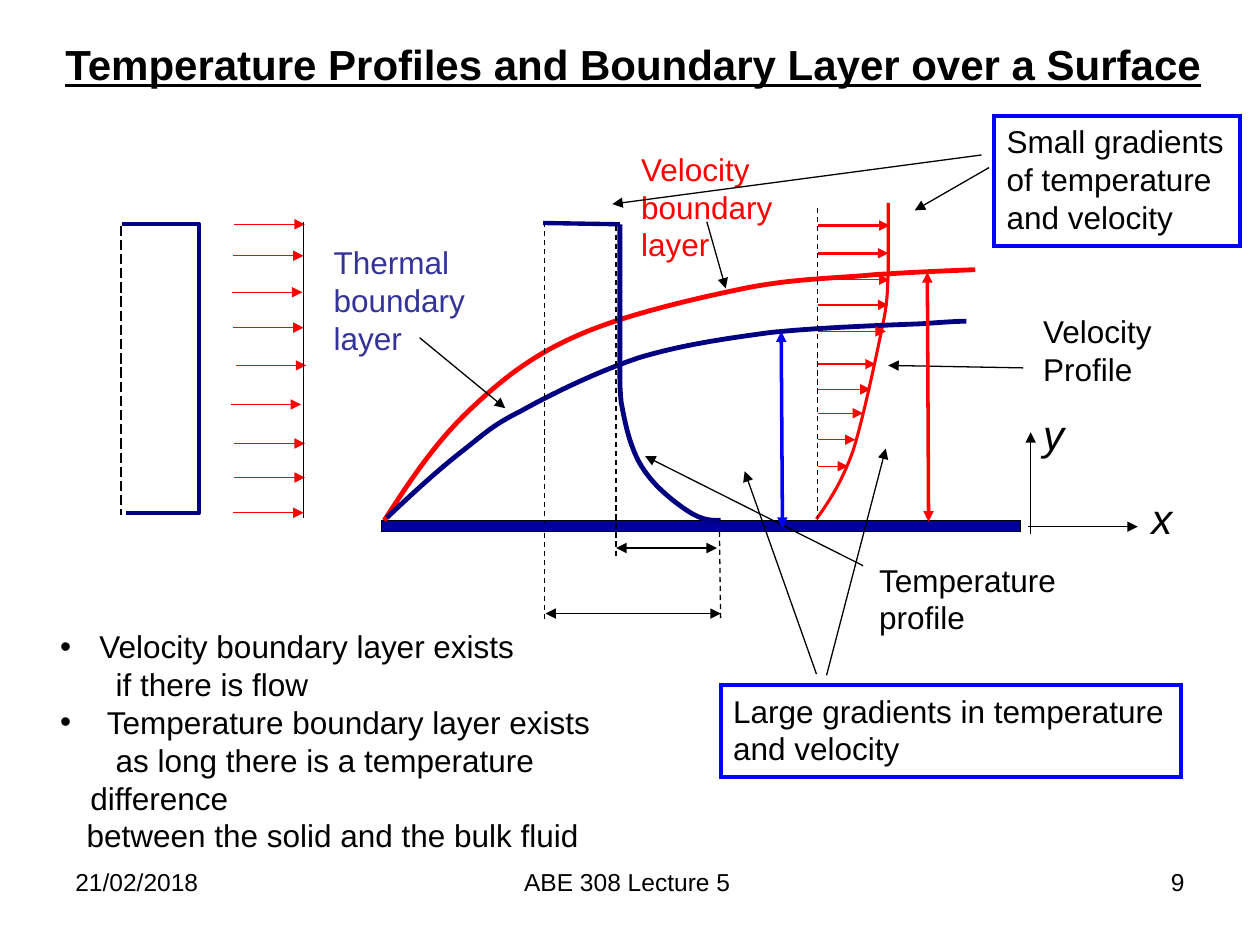
from dataclasses import dataclass
from typing import Optional

from lxml.etree import SubElement
from pptx import Presentation
from pptx.dml.color import RGBColor
from pptx.enum.dml import MSO_LINE_DASH_STYLE as Dash
from pptx.enum.shapes import MSO_CONNECTOR, MSO_SHAPE
from pptx.enum.text import MSO_ANCHOR, PP_ALIGN as Align
from pptx.oxml.ns import qn
from pptx.util import Inches, Pt

Point = tuple[float, float]
Box = tuple[float, float, float, float]
BLACK, RED, BLUE, NAVY = "000000", "FF0000", "0000FF", "000080"
PLATE, INDIGO = "000099", "333399"


@dataclass
class Line:
    start: Point
    end: Point
    color: str = BLACK
    width: float = 0.75
    dash: Optional[Dash] = None
    head: bool = False
    tail: bool = False


@dataclass
class Outline:
    points: list[Point]
    color: str
    width: float = 2.75
    curved: bool = True


@dataclass
class Label:
    text: str
    box: Box
    size: int = 18
    color: str = BLACK
    bold: bool = False
    underline: bool = False
    italic: bool = False
    align: Align = Align.LEFT
    wrap: bool = False
    framed: bool = False


@dataclass
class Note:
    text: str
    margin: float
    indent: float = 0
    bullet: bool = False


def rgb(value: str) -> RGBColor:
    return RGBColor.from_string(value)


def style_line(shape, color: str, width: float) -> None:
    shape.line.color.rgb = rgb(color)
    shape.line.width = Pt(width)


def draw_line(slide, line: Line) -> None:
    ends = [Inches(value) for value in (*line.start, *line.end)]
    connector = slide.shapes.add_connector(MSO_CONNECTOR.STRAIGHT, *ends)
    style_line(connector, line.color, line.width)
    if line.dash:
        connector.line.dash_style = line.dash
    properties = connector._element.spPr
    stroke = properties.find(qn("a:ln"))
    for tag, wanted in (("a:headEnd", line.head), ("a:tailEnd", line.tail)):
        if wanted:
            SubElement(stroke, qn(tag), type="triangle")
    SubElement(properties, qn("a:effectLst"))


def bend_segments(shape) -> None:
    track = next(shape._element.iter(qn("a:path")))
    corners = [segment[0] for segment in track.findall(qn("a:lnTo"))]
    for segment in track.findall(qn("a:lnTo")):
        track.remove(segment)
    for first in range(0, len(corners), 3):
        SubElement(track, qn("a:cubicBezTo")).extend(corners[first : first + 3])


def draw_outline(slide, outline: Outline) -> None:
    start, *rest = [(Inches(x), Inches(y)) for x, y in outline.points]
    builder = slide.shapes.build_freeform(*start)
    builder.add_line_segments(rest, close=False)
    shape = builder.convert_to_shape()
    shape.shadow.inherit = False
    shape.fill.background()
    style_line(shape, outline.color, outline.width)
    if outline.curved:
        bend_segments(shape)


def draw_rectangle(slide, box: Box, color: str, width: float):
    lengths = [Inches(value) for value in box]
    shape = slide.shapes.add_shape(MSO_SHAPE.RECTANGLE, *lengths)
    shape.shadow.inherit = False
    shape.fill.background()
    style_line(shape, color, width)
    SubElement(shape._element.spPr.find(qn("a:ln")), qn("a:miter"), lim="800000")
    return shape


def draw_label(slide, label: Label) -> None:
    if label.framed:
        shape = draw_rectangle(slide, label.box, BLUE, 2.25)
    else:
        shape = slide.shapes.add_textbox(*[Inches(value) for value in label.box])
    text_frame = shape.text_frame
    text_frame.word_wrap = label.wrap
    text_frame.vertical_anchor = MSO_ANCHOR.TOP
    text_frame.text = label.text
    for paragraph in text_frame.paragraphs:
        paragraph.alignment = label.align
        font = paragraph.runs[0].font
        font.name, font.size = "Arial", Pt(label.size)
        font.color.rgb = rgb(label.color)
        font.bold, font.italic = label.bold, label.italic
        font.underline = label.underline


def draw_notes(slide, notes: list[Note], box: Box) -> None:
    text_frame = slide.shapes.add_textbox(*[Inches(v) for v in box]).text_frame
    text_frame.word_wrap = True
    text_frame.text = "\n".join(note.text for note in notes)
    for note, paragraph in zip(notes, text_frame.paragraphs):
        properties = paragraph._p.get_or_add_pPr()
        properties.set("marL", str(Inches(note.margin)))
        properties.set("indent", str(Inches(note.indent)))
        if note.bullet:
            SubElement(properties, qn("a:buFont"), typeface="Arial")
            SubElement(properties, qn("a:buChar"), char="•")
        paragraph.font.size = Pt(18)
        font = paragraph.runs[0].font
        font.name, font.size = "Arial", Pt(18)
        font.color.rgb = rgb(BLACK)


OUTLINES = [
    Outline([(3.05, 4.13), (3.25, 3.82), (3.45, 3.52), (3.71, 3.27), (3.97, 3.02),
             (4.22, 2.82), (4.59, 2.66), (4.95, 2.5), (5.51, 2.37), (5.9, 2.29),
             (6.29, 2.21), (6.63, 2.21), (6.94, 2.18), (7.25, 2.16), (7.49, 2.15),
             (7.74, 2.14)], RED),
    Outline([(6.48, 4.12), (6.58, 3.98), (6.68, 3.83), (6.77, 3.58), (6.85, 3.33),
             (6.95, 2.85), (7, 2.61), (7.05, 2.38), (7.04, 2.32), (7.05, 2.16),
             (7.05, 1.99), (7.05, 1.8), (7.05, 1.61)], RED, 1.75),
    Outline([(3.07, 4.11), (3.28, 3.91), (3.49, 3.72), (3.67, 3.58), (3.85, 3.44),
             (3.9, 3.38), (4.14, 3.26), (4.37, 3.13), (4.74, 2.95), (5.07, 2.84),
             (5.4, 2.74), (5.74, 2.69), (6.11, 2.64), (6.49, 2.6), (7.06, 2.58),
             (7.32, 2.57), (7.58, 2.55), (7.63, 2.55), (7.67, 2.55)], NAVY),
    Outline([(0.97, 1.78), (1.58, 1.78), (1.58, 4.07), (1, 4.07)], NAVY, 2.5, False),
    Outline([(5.72, 4.13), (5.65, 4.13), (5.59, 4.13), (5.5, 4.08), (5.41, 4.03),
             (5.27, 3.92), (5.19, 3.83), (5.11, 3.74), (5.06, 3.66), (5.02, 3.55),
             (4.98, 3.45), (4.95, 3.3), (4.93, 3.19), (4.92, 3.07), (4.92, 3.1),
             (4.92, 2.87), (4.92, 2.63), (4.92, 2.2), (4.92, 1.78)], NAVY),
]
INLET_ARROWS = [(1.86, 1.78), (1.85, 2.03), (1.84, 2.32), (1.85, 2.6), (1.87, 2.9),
                (1.83, 3.21), (1.86, 3.52), (1.86, 3.79), (1.85, 4.07)]
PROFILE_TIPS = [(7.06, 1.79), (7.05, 2.01), (7.06, 2.22), (7.05, 2.42), (7.03, 2.63),
                (6.95, 2.89), (6.91, 3.09), (6.85, 3.28), (6.79, 3.49), (6.73, 3.7)]
GUIDES = [((6.49, 1.65), (6.49, 4.11)), ((4.32, 1.76), (4.32, 4.15)),
          ((5.71, 4.22), (5.72, 4.93)), ((4.32, 4.23), (4.32, 4.91)),
          ((4.89, 1.79), (4.89, 4.44))]
POINTERS = [((8.12, 2.92), (7.05, 2.9)), ((5.61, 1.76), (5.76, 2.29)),
            ((3.33, 2.68), (4.01, 3.24)), ((6.85, 4.49), (5.12, 3.62)),
            ((7.85, 1.33), (7.26, 1.67)), ((7.79, 1.23), (4.86, 1.62)),
            ((6.48, 5.35), (5.91, 3.74)), ((6.56, 5.36), (7.03, 3.56))]
AXES = [((8.16, 4.18), (9.03, 4.18)), ((8.18, 4.24), (8.18, 3.43))]
SPANS = [Line((4.33, 4.87), (5.72, 4.87)), Line((4.89, 4.35), (5.69, 4.35)),
         Line((7.37, 4.14), (7.36, 2.16), RED, 2),
         Line((6.21, 4.19), (6.2, 2.63), BLUE, 2)]
LINES = [
    *[Line(start, end, dash=Dash.DASH) for start, end in GUIDES],
    *[Line((6.49, y), (x, y), RED, 1.75 if y < 2.1 else 0.75, tail=True)
      for x, y in PROFILE_TIPS],
    *[Line((x, y), (x + 0.56, y), RED, tail=True) for x, y in INLET_ARROWS],
    Line((2.41, 1.76), (2.41, 4.11)),
    Line((0.96, 1.79), (0.96, 4.09), dash=Dash.LONG_DASH),
    Line((4.31, 1.77), (4.92, 1.78), NAVY, 2.5),
    *[Line(start, end, tail=True) for start, end in POINTERS + AXES],
    *[Line(s.start, s.end, s.color, s.width, head=True, tail=True) for s in SPANS],
]
LABELS = [
    Label("Temperature Profiles and Boundary Layer over a Surface",
          (0.42, 0.26, 9.24, 0.5), 24, bold=True, underline=True),
    Label("Velocity\nProfile", (8.18, 2.43, 1.08, 0.7)),
    Label("Velocity\nboundary\nlayer", (4.99, 1.14, 1.24, 1), color=RED),
    Label("Thermal\nboundary\nlayer", (2.55, 1.88, 1.24, 1), color=INDIGO),
    Label("Temperature\nprofile", (6.88, 4.4, 1.7, 0.7)),
    Label("x", (9.04, 3.86, 0.37, 0.5), 24, italic=True),
    Label("y", (8.18, 3.19, 0.37, 0.5), 24, italic=True),
    Label("Small gradients\nof temperature\nand velocity",
          (7.89, 0.92, 1.95, 1.03), framed=True),
    Label("Large gradients in temperature\nand velocity",
          (5.72, 5.44, 3.65, 0.73), framed=True),
    Label("21/02/2018", (0.5, 6.83, 2.33, 0.52), 14, wrap=True),
    Label("ABE 308 Lecture 5 ", (3.42, 6.83, 3.17, 0.52), 14,
          align=Align.CENTER, wrap=True),
    Label("9", (7.17, 6.83, 2.33, 0.52), 14, align=Align.RIGHT, wrap=True),
]
NOTES = [
    Note("Velocity boundary layer exists", 0.31, -0.31, True),
    Note("if there is flow", 0.44),
    Note("Temperature boundary layer exists", 0.37, -0.37, True),
    Note("as long there is a temperature difference", 0.24, 0.2),
    Note("between the solid and the bulk fluid", 0.21),
]

presentation = Presentation()
presentation.slide_width, presentation.slide_height = Inches(10), Inches(7.5)
slide = presentation.slides.add_slide(presentation.slide_layouts[6])
plate = draw_rectangle(slide, (3.03, 4.13, 5.07, 0.09), BLACK, 0.75)
plate.fill.solid()
plate.fill.fore_color.rgb = rgb(PLATE)
for draw, items in ((draw_outline, OUTLINES), (draw_label, LABELS), (draw_line, LINES)):
    for item in items:
        draw(slide, item)
draw_notes(slide, NOTES, (0.38, 4.93, 4.97, 1.9))
presentation.save("out.pptx")
